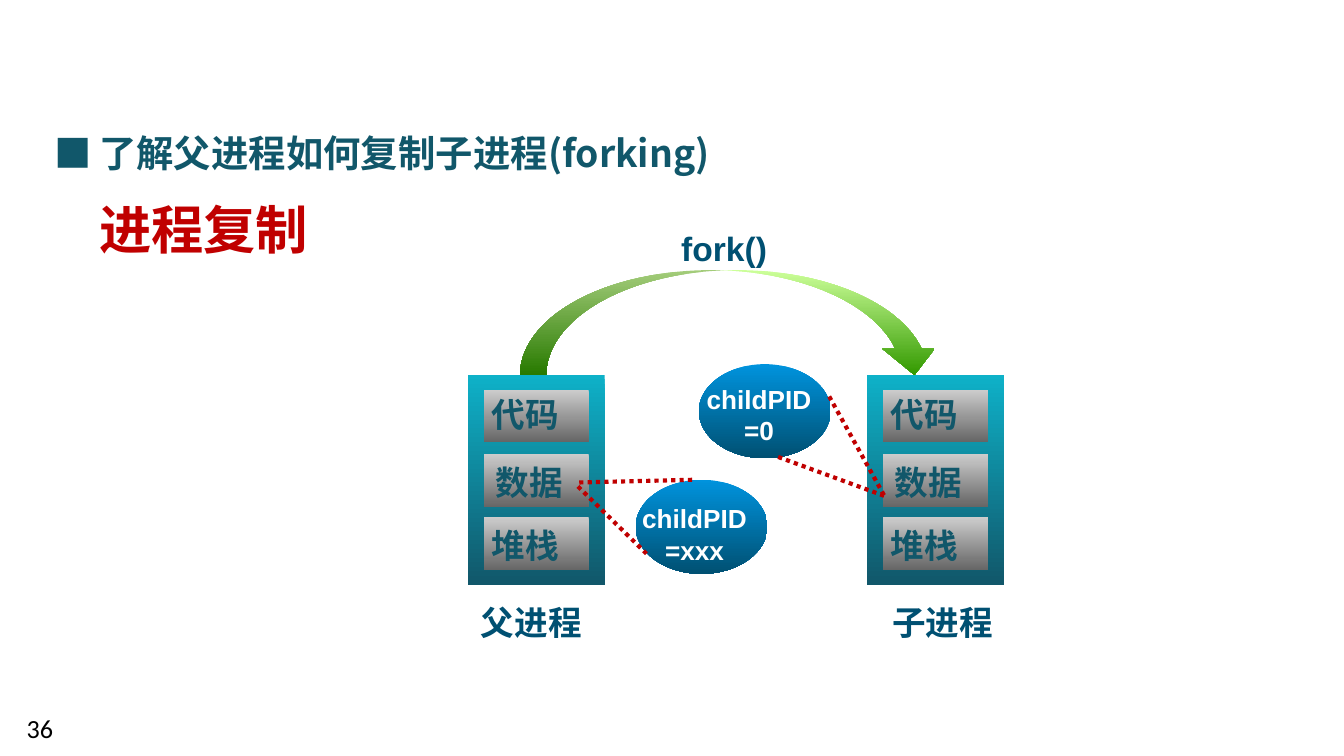
from typing import NamedTuple

from lxml import etree
from pptx import Presentation
from pptx import util as u
from pptx.dml.color import RGBColor
from pptx.enum import dml, shapes, text
from pptx.oxml.ns import qn

COLORS = {
    "teal": "11576A", "red": "C00000", "navy": "005072", "black": "000000", "white": "FFFFFF",
    "cyan": "0EB1C8", "silver": "CCCCCC", "grey": "666666", "blue": "0093DD",
    "lime": "CCFF99", "green": "339900",
}
CJK = "Noto Sans CJK SC"


class Label(NamedTuple):
    words: str
    left: float
    top: float
    width: float
    height: float
    size: int = 18
    color: str = "navy"
    face: str = "Arial"
    bold: bool = True
    wrap: bool = False
    grow: bool = True
    hang: float = 0


class Process(NamedTuple):
    left: float
    name: str
    name_left: float


class Segment(NamedTuple):
    label: str
    top: float
    label_dx: float
    label_top: float


class Bubble(NamedTuple):
    left: float
    top: float
    value: str
    text_left: float
    text_top: float
    lines: tuple


HEADINGS = [
    Label("了解父进程如何复制子进程(forking)", 0.64, 0.92, 4.84, 0.47, 20, "teal", CJK,
          wrap=True, grow=False, hang=0.3),
    Label("■", 0.31, 0.92, 0.47, 0.44, 20, "teal", "Noto Sans CJK JP", wrap=True, hang=0.38),
    Label("进程复制", 0.64, 1.42, 2.58, 0.47, 28, "red", CJK, wrap=True, grow=False, hang=0.3),
    Label("36", 0.1, 5.25, 0.48, 0.3, 14, "black", "Calibri", False, True, False),
]
PROCESSES = [Process(6.45, "子进程", 6.54), Process(3.48, "父进程", 3.48)]
SEGMENTS = [
    Segment("代码", 2.9, 0.08, 2.88),
    Segment("数据", 3.38, 0.11, 3.39),
    Segment("堆栈", 3.85, 0.08, 3.86),
]
# Each bubble has two dotted lines: (x1, y1, x2, y2)
BUBBLES = [
    Bubble(4.73, 3.57, "=xxx", 4.68, 3.69, ((4.3, 3.62, 4.81, 4.12), (4.31, 3.59, 5.17, 3.57))),
    Bubble(5.2, 2.71, "=0", 5.16, 2.8, ((6.17, 2.95, 6.58, 3.69), (5.79, 3.4, 6.58, 3.69))),
]


def rgb(name: str) -> RGBColor:
    return RGBColor.from_string(COLORS[name])


def add_label(parent, label: Label) -> None:
    """Add a text box; lines after the first are centred."""
    box = parent.add_textbox(*map(u.Inches, label[1:5]))
    frame = box.text_frame
    frame.text = label.words
    frame.word_wrap = label.wrap
    frame.auto_size = (text.MSO_AUTO_SIZE.SHAPE_TO_FIT_TEXT if label.grow
                       else text.MSO_AUTO_SIZE.NONE)
    for index, para in enumerate(frame.paragraphs):
        if index:
            para.alignment = text.PP_ALIGN.CENTER
        font = para.font
        font.size, font.bold, font.name = u.Pt(label.size), label.bold, label.face
        font.color.rgb = rgb(label.color)
        properties = para._p.get_or_add_pPr()
        if label.hang:
            properties.set("marL", str(u.Inches(label.hang)))
            properties.set("indent", str(-u.Inches(label.hang)))
        # East Asian typeface
        east_asian = CJK if label.face == "Arial" else label.face
        etree.SubElement(properties.find(qn("a:defRPr")), qn("a:ea"), typeface=east_asian)


def add_gradient(parent, kind, left: float, top: float, width: float, height: float,
                 start: str, end: str) -> None:
    """Add a borderless shape shaded from top to bottom."""
    shape = parent.add_shape(kind, *map(u.Inches, (left, top, width, height)))
    shape.shadow.inherit = False
    shape.line.fill.background()
    shape.fill.gradient()
    shape.fill.gradient_angle = 270
    for stop, color, position in zip(shape.fill.gradient_stops, (start, end), (0, 1)):
        stop.color.rgb = rgb(color)
        stop.position = position


def add_dotted_line(parent, ends: tuple) -> None:
    line = parent.add_connector(shapes.MSO_CONNECTOR.STRAIGHT, *map(u.Inches, ends))
    line.line.color.rgb = rgb("red")
    line.line.width = u.Pt(2.25)
    line.line.dash_style = dml.MSO_LINE.ROUND_DOT
    etree.SubElement(line._element.spPr, qn("a:effectLst"))


def add_process(parent, process: Process) -> None:
    """Add a process block with its three memory segments and its name."""
    group = parent.add_group_shape().shapes
    rectangle = shapes.MSO_SHAPE.RECTANGLE
    add_gradient(group, rectangle, process.left, 2.79, 1.02, 1.56, "cyan", "teal")
    for segment in SEGMENTS:
        add_gradient(group, rectangle, process.left + 0.12, segment.top, 0.78, 0.39,
                     "silver", "grey")
        add_label(group, Label(segment.label, process.left + segment.label_dx,
                               segment.label_top, 0.71, 0.4, color="teal"))
    add_label(parent, Label(process.name, process.name_left, 4.43, 0.96, 0.4))


def add_bubble(parent, bubble: Bubble) -> None:
    add_gradient(parent, shapes.MSO_SHAPE.OVAL, bubble.left, bubble.top, 0.98, 0.7,
                 "blue", "navy")
    add_label(parent, Label("childPID\n" + bubble.value, bubble.text_left, bubble.text_top,
                            1.03, 0.57, 14, "white"))
    for ends in bubble.lines:
        add_dotted_line(parent, ends)


def main() -> None:
    # Widescreen deck, 16:9
    deck = Presentation()
    deck.slide_width = u.Inches(10)
    deck.slide_height = deck.slide_width * 9 // 16
    page = deck.slides.add_slide(deck.slide_layouts[6])

    # Headings and page number
    for heading in HEADINGS:
        add_label(page.shapes, heading)

    # Fork arrow
    add_gradient(page.shapes, shapes.MSO_SHAPE.CURVED_DOWN_ARROW, 3.87, 2.01, 3.13, 0.78,
                 "lime", "green")
    add_label(page.shapes, Label("fork()", 4.97, 1.65, 0.92, 0.4))

    # Processes and the child PID each one sees
    for process in PROCESSES:
        add_process(page.shapes, process)
    for bubble in BUBBLES:
        add_bubble(page.shapes, bubble)

    deck.save("out.pptx")


if __name__ == "__main__":
    main()
